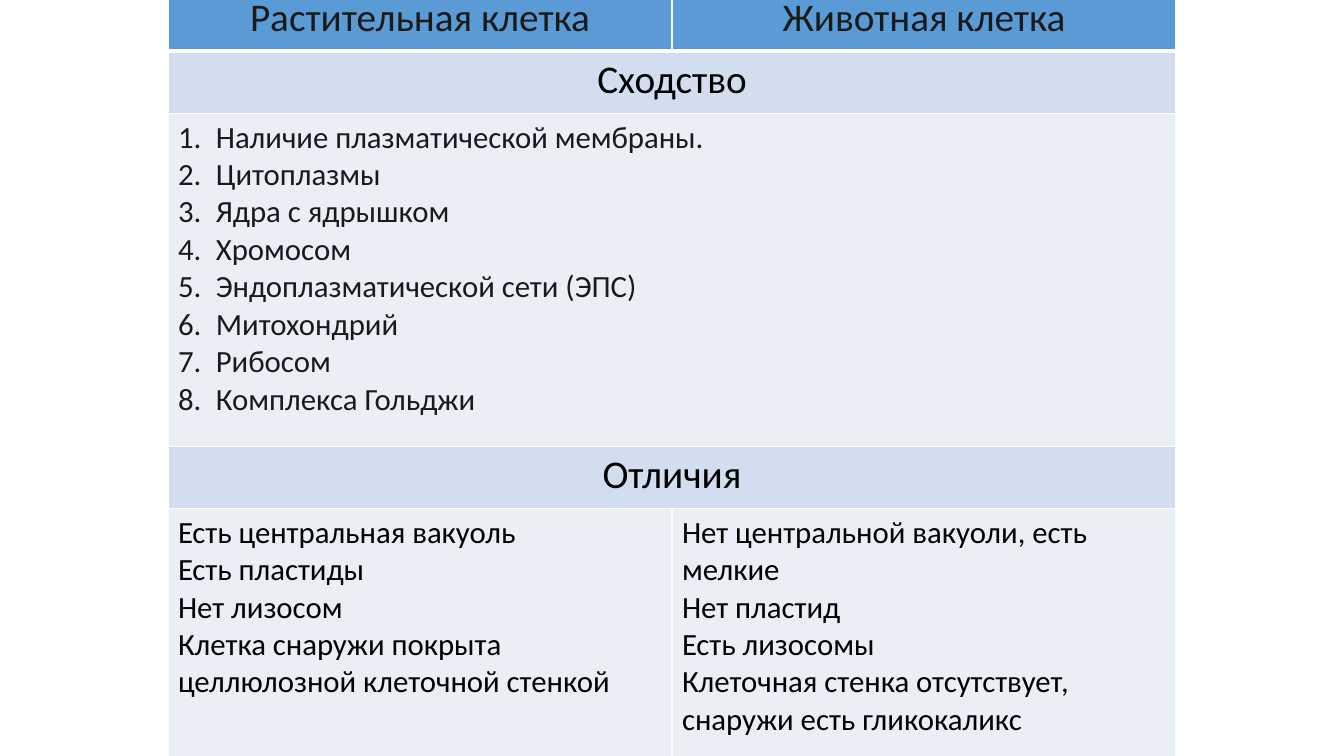
from lxml.etree import SubElement
from pptx import Presentation
from pptx.dml.color import RGBColor
from pptx.enum.text import PP_ALIGN
from pptx.oxml.ns import qn
from pptx.util import Pt

# Content
HEADERS = ["Растительная клетка", "Животная клетка"]
SIMILARITIES = [
    "Наличие плазматической мембраны.",
    "Цитоплазмы",
    "Ядра с ядрышком",
    "Хромосом",
    "Эндоплазматической сети (ЭПС)",
    "Митохондрий",
    "Рибосом",
    "Комплекса Гольджи",
]
PLANT_FEATURES = [
    "Есть центральная вакуоль",
    "Есть пластиды",
    "Нет лизосом",
    "Клетка снаружи покрыта целлюлозной клеточной стенкой",
]
ANIMAL_FEATURES = [
    "Нет центральной вакуоли, есть мелкие",
    "Нет пластид",
    "Есть лизосомы",
    "Клеточная стенка отсутствует, снаружи есть гликокаликс",
]

# Colours
BLUE = RGBColor(0x5B, 0x9B, 0xD5)
LIGHT_BLUE = RGBColor(0xD2, 0xDE, 0xEF)
PALE_BLUE = RGBColor(0xEA, 0xEF, 0xF7)
DARK_GREY = RGBColor(0x1A, 0x1A, 0x1A)
BLACK = RGBColor(0, 0, 0)

# Cell formats
HEADER = {"fill": BLUE, "size": 28, "color": DARK_GREY, "align": PP_ALIGN.CENTER}
SECTION = {"fill": LIGHT_BLUE, "size": 28, "color": BLACK, "align": PP_ALIGN.CENTER}
BODY = {"fill": PALE_BLUE, "size": 22, "color": BLACK, "align": PP_ALIGN.LEFT}
NUMBERED = {**BODY, "color": DARK_GREY, "numbered": True}

# Each row: height, format, lines of each cell (one cell spans the whole row)
ROWS = [
    (44.64, HEADER, [[header] for header in HEADERS]),
    (44.64, SECTION, [["Сходство"]]),
    (237.6, NUMBERED, [SIMILARITIES]),
    (44.64, SECTION, [["Отличия"]]),
    (208.8, BODY, [PLANT_FEATURES, ANIMAL_FEATURES]),
]
COLUMN_COUNT = 2
TABLE_LEFT, TABLE_TOP, TABLE_WIDTH = 120, -8, 720
NUMBER_INDENT = 27


def add_borders(cell, bottom_width):
    properties = cell._tc.get_or_add_tcPr()
    widths = {"a:lnL": 1, "a:lnR": 1, "a:lnT": 1, "a:lnB": bottom_width}
    for tag, width in widths.items():
        line = SubElement(properties, qn(tag), w=str(Pt(width)))
        fill = SubElement(line, qn("a:solidFill"))
        SubElement(fill, qn("a:srgbClr"), val="FFFFFF")


def add_number(paragraph):
    properties = paragraph._p.get_or_add_pPr()
    properties.set("marL", str(Pt(NUMBER_INDENT)))
    properties.set("indent", str(-Pt(NUMBER_INDENT)))
    SubElement(properties, qn("a:buFont"), typeface="+mj-lt")
    SubElement(properties, qn("a:buAutoNum"), type="arabicPeriod")


def fill_cell(cell, lines, style):
    add_borders(cell, 3 if style is HEADER else 1)
    cell.fill.solid()
    cell.fill.fore_color.rgb = style["fill"]
    font_values = {"name": "Calibri", "size": Pt(style["size"]), "bold": False}
    cell.text_frame.text = "\n".join(lines)
    for paragraph in cell.text_frame.paragraphs:
        paragraph.alignment = style["align"]
        if style.get("numbered"):
            add_number(paragraph)
        font = paragraph.runs[0].font
        for name, value in font_values.items():
            setattr(font, name, value)
        font.color.rgb = style["color"]


def main():
    presentation = Presentation()
    presentation.slide_width, presentation.slide_height = Pt(960), Pt(540)
    slide = presentation.slides.add_slide(presentation.slide_layouts[6])

    # Comparison table
    table_height = sum(height for height, _, _ in ROWS)
    table = slide.shapes.add_table(
        len(ROWS), COLUMN_COUNT,
        Pt(TABLE_LEFT), Pt(TABLE_TOP), Pt(TABLE_WIDTH), Pt(table_height),
    ).table
    for row_index, (height, style, cells) in enumerate(ROWS):
        table.rows[row_index].height = Pt(height)
        if len(cells) == 1:
            table.cell(row_index, 0).merge(table.cell(row_index, COLUMN_COUNT - 1))
        for column_index, lines in enumerate(cells):
            fill_cell(table.cell(row_index, column_index), lines, style)

    presentation.save("out.pptx")


if __name__ == "__main__":
    main()
